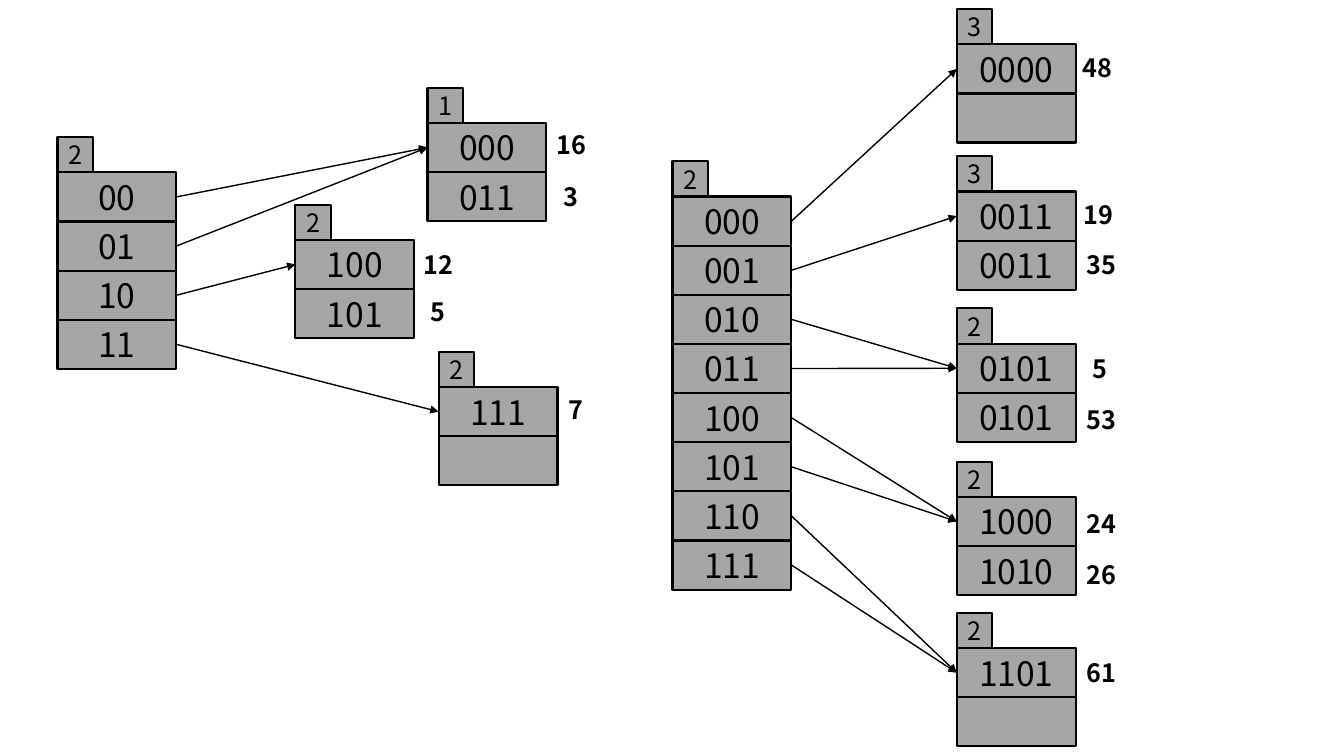
from lxml.etree import SubElement
from pptx import Presentation
from pptx.dml.color import RGBColor
from pptx.enum.shapes import MSO_CONNECTOR, MSO_SHAPE
from pptx.enum.text import MSO_ANCHOR, MSO_AUTO_SIZE, PP_ALIGN
from pptx.oxml.ns import qn
from pptx.util import Inches, Pt

WIDTH, HEIGHT = 13.33, 7.5
ROW = HEIGHT * 6.5 / 100
CELL_WIDTH = 1.18
DEPTH_SIDE = 0.35
LABEL_WIDTH, LABEL_HEIGHT = 0.49, 0.4
FONT = "Noto Sans CJK SC"
GREY, BLACK = "A6A6A6", "000000"


def paint(fill, colour):
    """Make a shape, line or font fill solid in a hex colour."""
    fill.solid()
    fill.fore_color.rgb = RGBColor.from_string(colour)


def write(box, text, size=24, bold=False, anchor=MSO_ANCHOR.MIDDLE):
    """Put one centred line of text into a box."""
    frame = box.text_frame
    frame.word_wrap = True
    frame.margin_left = frame.margin_right = 0
    frame.vertical_anchor = anchor
    para = frame.paragraphs[0]
    para.alignment = PP_ALIGN.CENTER
    span = para.add_run()
    span.text = text
    span.font.name, span.font.size, span.font.bold = FONT, Pt(size), bold
    paint(span.font.fill, BLACK)


deck = Presentation()
deck.slide_width, deck.slide_height = Inches(WIDTH), Inches(HEIGHT)
page = deck.slides.add_slide(deck.slide_layouts[6])

# Name: left, top of the first cell, depth, cell texts
tables = {
    "small directory": (0.57, 1.71, "2", ["00", "01", "10", "11"]),
    "small 0": (4.24, 1.22, "1", ["000", "011"]),
    "small 10": (2.93, 2.38, "2", ["100", "101"]),
    "small 11": (4.35, 3.84, "2", ["111", ""]),
    "large directory": (6.67, 1.95, "2", [f"{key:03b}" for key in range(8)]),
    "large 000": (9.49, 0.44, "3", ["0000", ""]),
    "large 001": (9.49, 1.9, "3", ["0011", "0011"]),
    "large 01": (9.49, 3.41, "2", ["0101", "0101"]),
    "large 10": (9.49, 4.93, "2", ["1000", "1010"]),
    "large 11": (9.49, 6.43, "2", ["1101", ""]),
}
cells = {}
for name, (left, top, depth, texts) in tables.items():
    blocks = [(top - DEPTH_SIDE, DEPTH_SIDE, DEPTH_SIDE, depth, 18)]
    blocks += [(top + row * ROW, CELL_WIDTH, ROW, text, 24)
               for row, text in enumerate(texts)]
    boxes = []
    for block_top, width, height, text, size in blocks:
        box = page.shapes.add_shape(
            MSO_SHAPE.RECTANGLE, Inches(left), Inches(block_top), Inches(width), Inches(height))
        box.shadow.inherit = False
        paint(box.fill, GREY)
        paint(box.line.fill, BLACK)
        box.line.width = Pt(1.5)
        if text:
            write(box, text, size=size)
        boxes.append(box)
    cells[name] = boxes[1:]

# The bucket that each directory row points to, from top to bottom
pointers = {
    "small directory": ["small 0", "small 0", "small 10", "small 11"],
    "large directory": ["large 000", "large 001", "large 01", "large 01",
                        "large 10", "large 10", "large 11", "large 11"],
}
for directory, buckets in pointers.items():
    for entry, bucket in zip(cells[directory], buckets):
        arrow = page.shapes.add_connector(MSO_CONNECTOR.STRAIGHT, 0, 0, 0, 0)
        arrow.begin_connect(entry, 3)
        arrow.end_connect(cells[bucket][0], 1)
        paint(arrow.line.fill, BLACK)
        arrow.line.width = Pt(1)
        SubElement(arrow.line._get_or_add_ln(), qn("a:tailEnd"), type="triangle")
        SubElement(arrow._element.spPr, qn("a:effectLst"))

# Stored values beside the buckets: left, top, value
values = [
    (5.42, 1.23, "16"), (5.42, 1.75, "3"),
    (4.1, 2.42, "12"), (4.1, 2.89, "5"),
    (5.47, 3.86, "7"),
    (10.64, 0.47, "48"),
    (10.65, 1.93, "19"), (10.68, 2.42, "35"),
    (10.66, 3.46, "5"), (10.68, 3.96, "53"),
    (10.68, 4.99, "24"), (10.68, 5.5, "26"),
    (10.68, 6.47, "61"),
]
for left, top, value in values:
    label = page.shapes.add_textbox(
        Inches(left), Inches(top), Inches(LABEL_WIDTH), Inches(LABEL_HEIGHT))
    write(label, value, size=18, bold=True, anchor=MSO_ANCHOR.TOP)
    label.text_frame.auto_size = MSO_AUTO_SIZE.SHAPE_TO_FIT_TEXT

deck.save("out.pptx")
